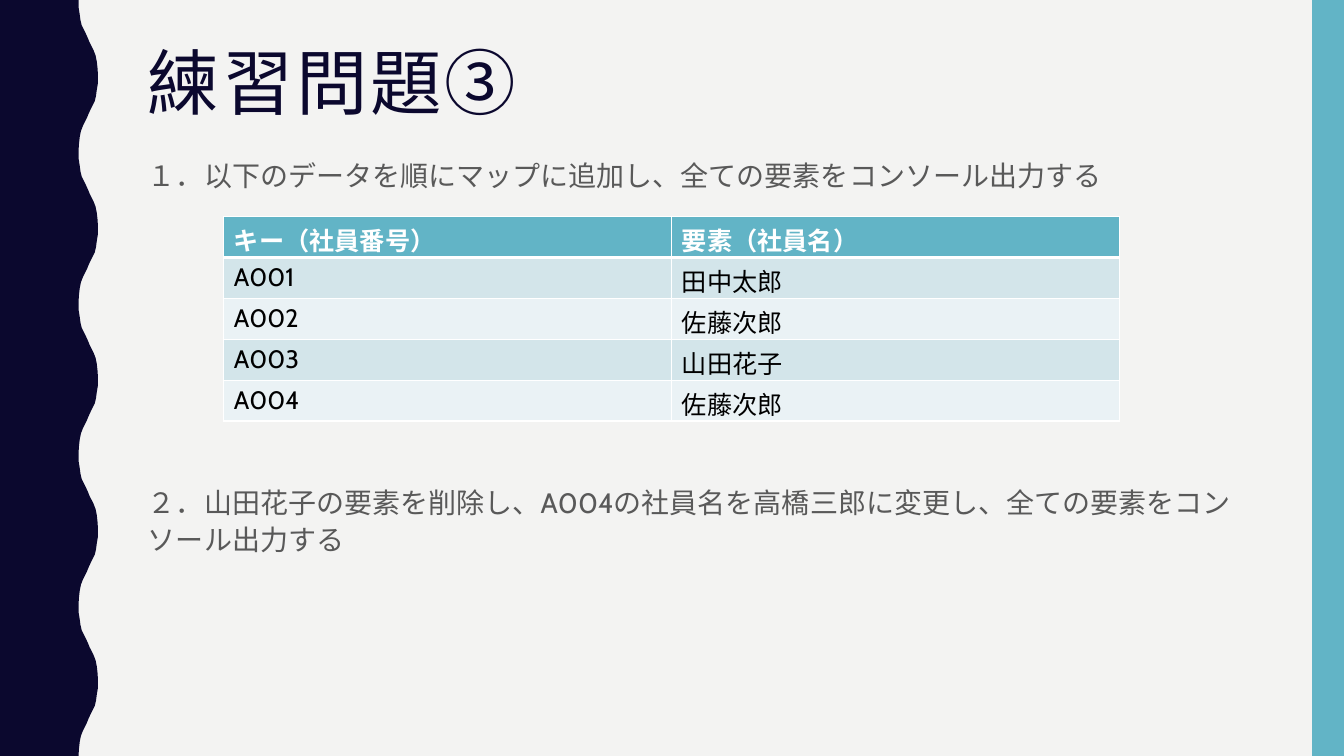
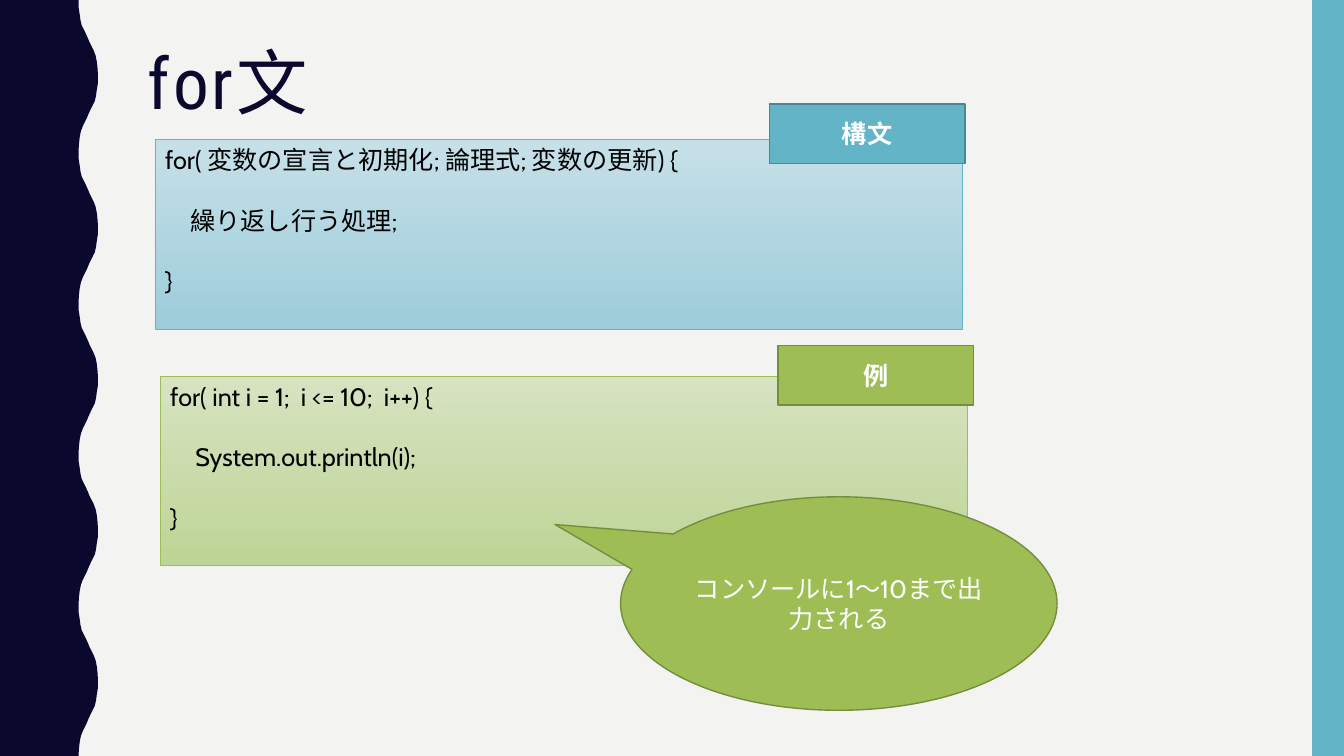
from lxml.etree import SubElement as Sub
from pptx import Presentation as Deck
from pptx.dml.color import RGBColor as Rgb
from pptx.enum.shapes import MSO_SHAPE as Kind
from pptx.enum.text import MSO_ANCHOR as Anchor, PP_ALIGN as Align
from pptx.oxml.ns import qn
from pptx.util import Cm, Pt

WIDE, HIGH = 33.87, 19.05
HUES = {
    "paper": "F3F3F2", "navy": "0B082E", "gray": "595959",
    "white": "FFFFFF", "black": "000000",
    "blue": "62B4C6", "blue_edge": "498592",
    "blue_top": "C6E0E8", "blue_end": "9DCDDA",
    "green": "9EBE55", "green_edge": "758D3F",
    "green_top": "D7E3C1", "green_end": "BED496",
    "odd": "D3E5EA", "even": "EAF2F5",
}
HALF = [(0, 0), (0.18, 0), (0.36, 0.03), (0.51, 0.05), (0.64, 0.08),
        (0.74, 0.13), (0.84, 0.18), (0.97, 0.24), (1.07, 0.28),
        (1.17, 0.33), (1.27, 0.38), (1.4, 0.43), (1.55, 0.46), (1.73, 0.48)]


def hue(name):
    return Rgb.from_string(HUES[name])


class Page:
    body = "Cabin"
    head = "Roboto Condensed"

    def __init__(self, deck, title):
        self.slide = deck.slides.add_slide(deck.slide_layouts[6])
        self.shapes = self.slide.shapes
        paint = self.slide.background.fill
        paint.solid()
        paint.fore_color.rgb = hue("paper")
        self.wave()
        self.box(33.07, 0, 0.8, HIGH, "blue")
        self.note(1.07, 4.14, title, size=51, color="navy",
                  font=self.head, line=0.9, track=2)

    def wave(self):
        low, top, count = 1.98, 2.47, 10
        step = HIGH / count
        dots = [(top - x if k % 2 else low + x, k * step + y)
                for k in range(count) for y, x in HALF]
        dots += [(low, HIGH), (0, HIGH)]
        form = self.shapes.build_freeform(0, 0)
        form.add_line_segments([(Cm(x), Cm(y)) for x, y in dots])
        self.style(form.convert_to_shape(), "navy")

    def style(self, shape, fill, edge=None, width=1):
        shape.shadow.inherit = False
        if isinstance(fill, tuple):
            shape.fill.gradient()
            shape.fill.gradient_angle = 270
            for stop, name in zip(shape.fill.gradient_stops, fill):
                stop.color.rgb = hue(name)
        else:
            shape.fill.solid()
            shape.fill.fore_color.rgb = hue(fill)
        if edge:
            shape.line.color.rgb = hue(edge)
            shape.line.width = Pt(width)
        else:
            shape.line.fill.background()

    def put(self, frame, lines, size=18, color="black", font=body, bold=False,
            align=Align.LEFT, line=None, gap=0, track=0, east=True):
        frame.word_wrap = True
        for i, text in enumerate(lines):
            para = frame.add_paragraph() if i else frame.paragraphs[0]
            para.alignment = align
            if line:
                para.line_spacing = line
            if gap and i:
                para.space_before = Pt(gap)
            run = para.add_run()
            run.text = text
            run.font.name, run.font.size = font, Pt(size)
            run.font.bold = bold
            run.font.color.rgb = hue(color)
            props = run.font._element
            if track:
                props.set("spc", str(track * 100))
            if east:
                Sub(props, qn("a:ea"), typeface=font)

    def note(self, y, h, text, **look):
        box = self.shapes.add_textbox(Cm(3.48), Cm(y), Cm(28.27), Cm(h))
        self.put(box.text_frame, [text], **look)

    def task(self, y, text):
        self.note(y, 2.5, text, size=20, color="gray", line=1.1)

    def box(self, x, y, w, h, fill, edge=None, width=1, kind=Kind.RECTANGLE):
        shape = self.shapes.add_shape(kind, Cm(x), Cm(y), Cm(w), Cm(h))
        self.style(shape, fill, edge, width)
        return shape

    def code(self, x, y, tint, lines):
        shape = self.box(x, y, 20.35, 4.78, (tint + "_top", tint + "_end"), tint, 0.5)
        shape.text_frame.vertical_anchor = Anchor.TOP
        self.put(shape.text_frame, lines, gap=21.6)

    def label(self, shape, text, bold=False):
        shape.text_frame.vertical_anchor = Anchor.MIDDLE
        self.put(shape.text_frame, [text], color="white", bold=bold,
                 align=Align.CENTER)

    def tag(self, x, y, tint, text):
        self.label(self.box(x, y, 4.93, 1.5, tint, tint + "_edge"), text, True)

    def bubble(self, x, y, w, h, tint, tip, text):
        shape = self.box(x, y, w, h, tint, tint + "_edge", kind=Kind.OVAL_CALLOUT)
        shape.adjustments[0], shape.adjustments[1] = tip
        self.label(shape, text)

    def rule(self, cell, side, width):
        line = Sub(cell._tc.get_or_add_tcPr(), qn("a:ln" + side), w=str(Pt(width)))
        Sub(Sub(line, qn("a:solidFill")), qn("a:srgbClr"), val=HUES["white"])

    def table(self, x, y, w, tall, rows):
        grid = self.shapes.add_table(len(rows), len(rows[0]), Cm(x), Cm(y),
                                     Cm(w), Cm(tall * len(rows))).table
        for r, row in enumerate(rows):
            first = r == 0
            fill = "blue" if first else "odd" if r % 2 else "even"
            for c, text in enumerate(row):
                cell = grid.cell(r, c)
                self.put(cell.text_frame, [text], bold=first, east=False,
                         color="white" if first else "black")
                for side in "LRTB":
                    thick = (r, side) in ((0, "B"), (1, "T"))
                    self.rule(cell, side, 3 if thick else 1)
                cell.fill.solid()
                cell.fill.fore_color.rgb = hue(fill)


def main():
    deck = Deck()
    deck.slide_width, deck.slide_height = Cm(WIDE), Cm(HIGH)

    page = Page(deck, "練習問題③")
    page.task(3.78, "１．以下のデータを順にマップに追加し、全ての要素をコンソール出力する")
    page.table(5.64, 5.46, 22.58, 1.03, [
        ("キー（社員番号）", "要素（社員名）"),
        ("A001", "田中太郎"),
        ("A002", "佐藤次郎"),
        ("A003", "山田花子"),
        ("A004", "佐藤次郎"),
    ])
    page.task(12.03, "２．山田花子の要素を削除し、A004の社員名を高橋三郎に変更し、"
                     "全ての要素をコンソール出力する")

    page = Page(deck, "for文")
    page.code(3.91, 3.52, "blue", [
        "for( 変数の宣言と初期化; 論理式; 変数の更新) {",
        "　繰り返し行う処理;", "}"])
    page.code(4.04, 9.48, "green", [
        "for( int i = 1;  i <= 10;  i++) {",
        "　System.out.println(i);", "}"])
    page.tag(19.39, 2.62, "blue", "構文")
    page.tag(19.61, 8.71, "green", "例")
    page.bubble(15.64, 12.52, 11, 5.38, "green", (-0.65, -0.37),
                "コンソールに1～10まで出力される")
    deck.save("out.pptx")


if __name__ == "__main__":
    main()
